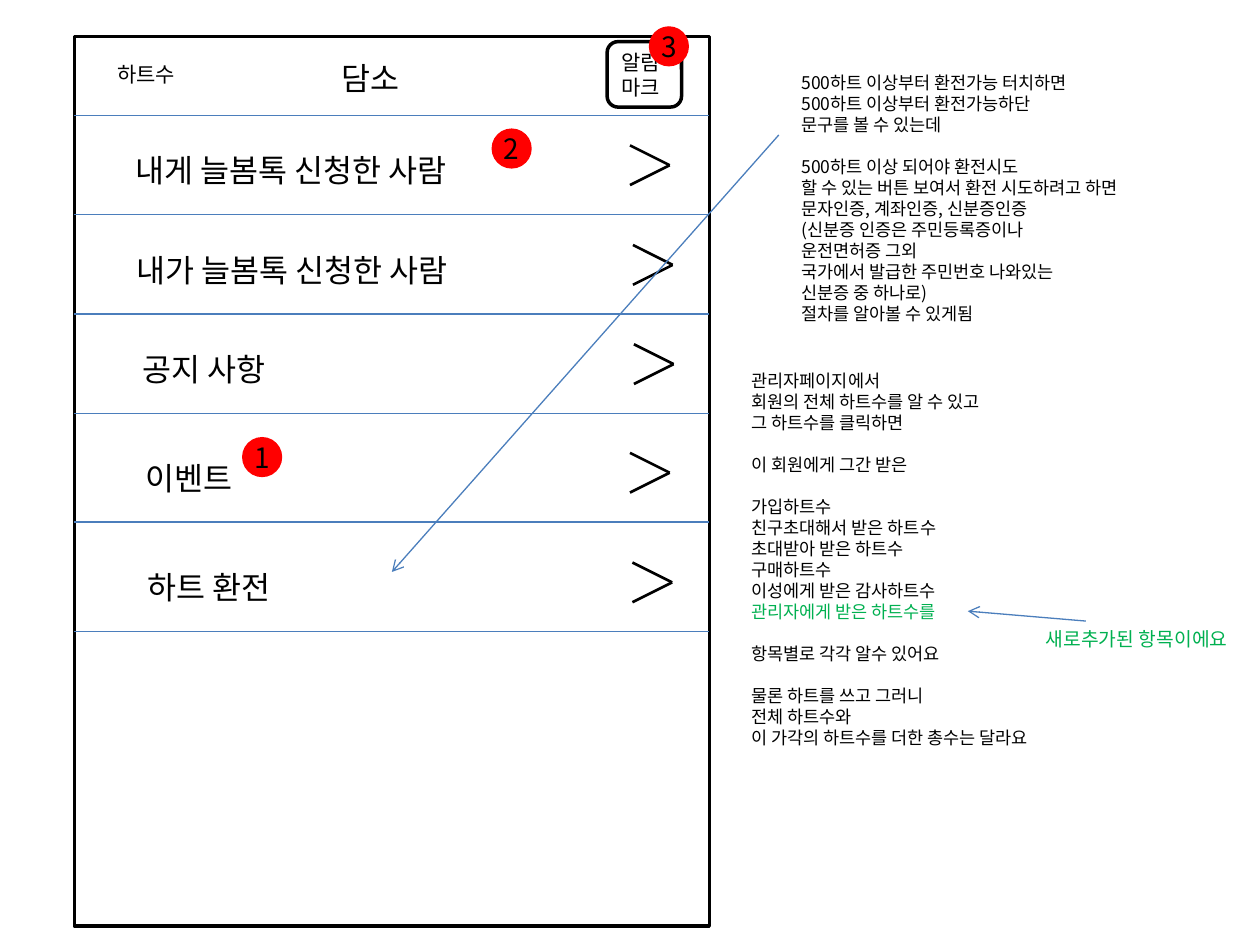
"""Build the annotated menu screen of a chat app with its review notes."""
from typing import NamedTuple

from lxml.etree import SubElement
from pptx import Presentation
from pptx.dml.color import RGBColor
from pptx.enum.shapes import MSO_CONNECTOR, MSO_SHAPE
from pptx.enum.text import MSO_ANCHOR, MSO_AUTO_SIZE, PP_ALIGN
from pptx.oxml.ns import qn
from pptx.util import Cm, Pt

FONT = "Noto Sans CJK KR"
BLACK, RED, GREEN, BLUE = "000000", "FF0000", "00B050", "4B7EBC"
LINE_RATIO = 1.2
FRAME_LEFT, FRAME_TOP, FRAME_WIDTH, FRAME_HEIGHT = 1.5, 0.74, 12.8, 17.93


class MenuRow(NamedTuple):
    label: str
    left: float
    top: float
    chevron_left: float


class Badge(NamedTuple):
    number: str
    left: float
    top: float


class Note(NamedTuple):
    box: tuple[float, float, float, float]
    blocks: tuple[str, ...]


ROWS = (
    MenuRow("내게 늘봄톡 신청한 사람", 2.49, 2.92, 12.7),
    MenuRow("내가 늘봄톡 신청한 사람", 2.51, 4.93, 12.76),
    MenuRow("공지 사항", 2.62, 6.93, 12.78),
    MenuRow("이벤트", 2.69, 9.12, 12.7),
    MenuRow("하트 환전", 2.72, 11.33, 12.75),
)
BADGES = (Badge("1", 4.88, 8.81), Badge("2", 9.91, 2.59), Badge("3", 13.08, 0.53))
NEW_ITEM = "관리자에게 받은 하트수를"
NOTES = (
    Note((15.9, 1.32, 7.8, 5.38), (
        "500하트 이상부터 환전가능 터치하면\n500하트 이상부터 환전가능하단\n문구를 볼 수 있는데",
        "500하트 이상 되어야 환전시도\n할 수 있는 버튼 보여서 환전 시도하려고 하면\n"
        "문자인증, 계좌인증, 신분증인증\n(신분증 인증은 주민등록증이나\n운전면허증 그외\n"
        "국가에서 발급한 주민번호 나와있는\n신분증 중 하나로)\n절차를 알아볼 수 있게됨",
    )),
    Note((14.9, 7.33, 6.83, 7.95), (
        "관리자페이지에서\n회원의 전체 하트수를 알 수 있고\n그 하트수를 클릭하면",
        "이 회원에게 그간 받은",
        "가입하트수\n친구초대해서 받은 하트수\n초대받아 받은 하트수\n구매하트수\n"
        f"이성에게 받은 감사하트수\n{NEW_ITEM}",
        "항목별로 각각 알수 있어요",
        "물론 하트를 쓰고 그러니\n전체 하트수와\n이 가각의 하트수를 더한 총수는 달라요",
    )),
)


def color(value: str) -> RGBColor:
    return RGBColor.from_string(value)


def write(shape, text: str, size: float, ink: str = BLACK,
          align=PP_ALIGN.LEFT, anchor=MSO_ANCHOR.TOP) -> None:
    frame = shape.text_frame
    frame.text = text
    frame.word_wrap = False
    frame.auto_size = MSO_AUTO_SIZE.NONE
    frame.vertical_anchor = anchor
    for paragraph in frame.paragraphs:
        paragraph.alignment = align
        paragraph.line_spacing = Pt(size * LINE_RATIO)
        for run in paragraph.runs:
            run.font.size = Pt(size)
            run.font.name = FONT
            run.font.color.rgb = color(ink)
            SubElement(run.font._element, qn("a:ea"), typeface=FONT)


def place(shape, left: float, top: float, width: float, height: float) -> None:
    shape.left, shape.top = Cm(left), Cm(top)
    shape.width, shape.height = Cm(width), Cm(height)


def add_label(shapes, text: str, left: float, top: float, width: float,
              height: float, size: float, ink: str = BLACK) -> None:
    box = shapes.add_textbox(Cm(left), Cm(top), Cm(width), Cm(height))
    write(box, text, size, ink)


def add_outline(shapes, kind, left: float, top: float, width: float, height: float):
    outline = shapes.add_shape(kind, Cm(left), Cm(top), Cm(width), Cm(height))
    outline.shadow.inherit = False
    outline.fill.background()
    outline.line.color.rgb = color(BLACK)
    outline.line.width = Pt(2)
    return outline


def add_line(shapes, x1: float, y1: float, x2: float, y2: float,
             ink: str = BLUE, width: float = 0.75, arrow: bool = False) -> None:
    line = shapes.add_connector(MSO_CONNECTOR.STRAIGHT, Cm(x1), Cm(y1), Cm(x2), Cm(y2))
    line.line.color.rgb = color(ink)
    line.line.width = Pt(width)
    if arrow:
        SubElement(line.line._get_or_add_ln(), qn("a:tailEnd"), type="arrow")
    SubElement(line._element.spPr, qn("a:effectLst"))


def add_divider(shapes, y: float) -> None:
    add_line(shapes, FRAME_LEFT, y, FRAME_LEFT + FRAME_WIDTH, y)


def add_row(shapes, row: MenuRow) -> None:
    add_label(shapes, row.label, row.left, row.top, 7.6, 1.02, 18)
    add_divider(shapes, row.top + 1.4)
    tip_y = row.top + 0.41
    chevron = shapes.add_group_shape()
    for rise in (-0.4, 0.4):
        add_line(chevron.shapes, row.chevron_left, tip_y + rise,
                 row.chevron_left + 0.8, tip_y, BLACK, 1.5)


def add_badge(shapes, badge: Badge) -> None:
    circle = shapes.add_shape(MSO_SHAPE.OVAL, Cm(badge.left), Cm(badge.top), Cm(0.81), Cm(0.81))
    circle.shadow.inherit = False
    circle.fill.solid()
    circle.fill.fore_color.rgb = color(RED)
    circle.line.fill.background()
    frame = circle.text_frame
    frame.margin_left = frame.margin_right = frame.margin_top = frame.margin_bottom = 0
    write(circle, badge.number, 16, align=PP_ALIGN.CENTER, anchor=MSO_ANCHOR.MIDDLE)


def fill_note(body, note: Note) -> None:
    place(body, *note.box)
    write(body, "\n".join(note.blocks), 10)
    block_starts = {block.split("\n")[0] for block in note.blocks[1:]}
    for paragraph in body.text_frame.paragraphs:
        properties = paragraph._p.get_or_add_pPr()
        properties.set("marL", "0")
        properties.set("indent", "0")
        SubElement(properties, qn("a:buNone"))
        paragraph.space_before = Pt(12 if paragraph.text in block_starts else 0)
        if paragraph.text == NEW_ITEM:
            paragraph.runs[0].font.color.rgb = color(GREEN)


def main() -> None:
    deck = Presentation()
    deck.slide_width, deck.slide_height = Cm(25.4), Cm(19.05)
    slide = deck.slides.add_slide(deck.slide_layouts[3])
    shapes = slide.shapes

    place(shapes.title, 6.63, 1.07, 1.8, 1.02)
    write(shapes.title, "담소", 18)
    for index, note in enumerate(NOTES, start=1):
        fill_note(slide.placeholders[index], note)

    add_outline(shapes, MSO_SHAPE.RECTANGLE, FRAME_LEFT, FRAME_TOP, FRAME_WIDTH, FRAME_HEIGHT)
    add_label(shapes, "하트수", 2.11, 1.12, 1.8, 0.76, 12)
    alert = add_outline(shapes, MSO_SHAPE.ROUNDED_RECTANGLE, 12.24, 0.84, 1.5, 1.32)
    alert.text_frame.margin_left = Cm(0.22)
    alert.text_frame.margin_right = 0
    write(alert, "알림\n마크", 12, anchor=MSO_ANCHOR.MIDDLE)

    add_divider(shapes, 2.33)
    for row in ROWS:
        add_row(shapes, row)
    for badge in BADGES:
        add_badge(shapes, badge)

    add_line(shapes, 15.7, 2.72, 7.9, 11.53, arrow=True)
    add_line(shapes, 21.89, 12.52, 19.51, 12.32, arrow=True)
    add_label(shapes, "새로추가된 항목이에요", 20.83, 12.52, 4.57, 0.74, 11, GREEN)
    deck.save("out.pptx")


if __name__ == "__main__":
    main()
